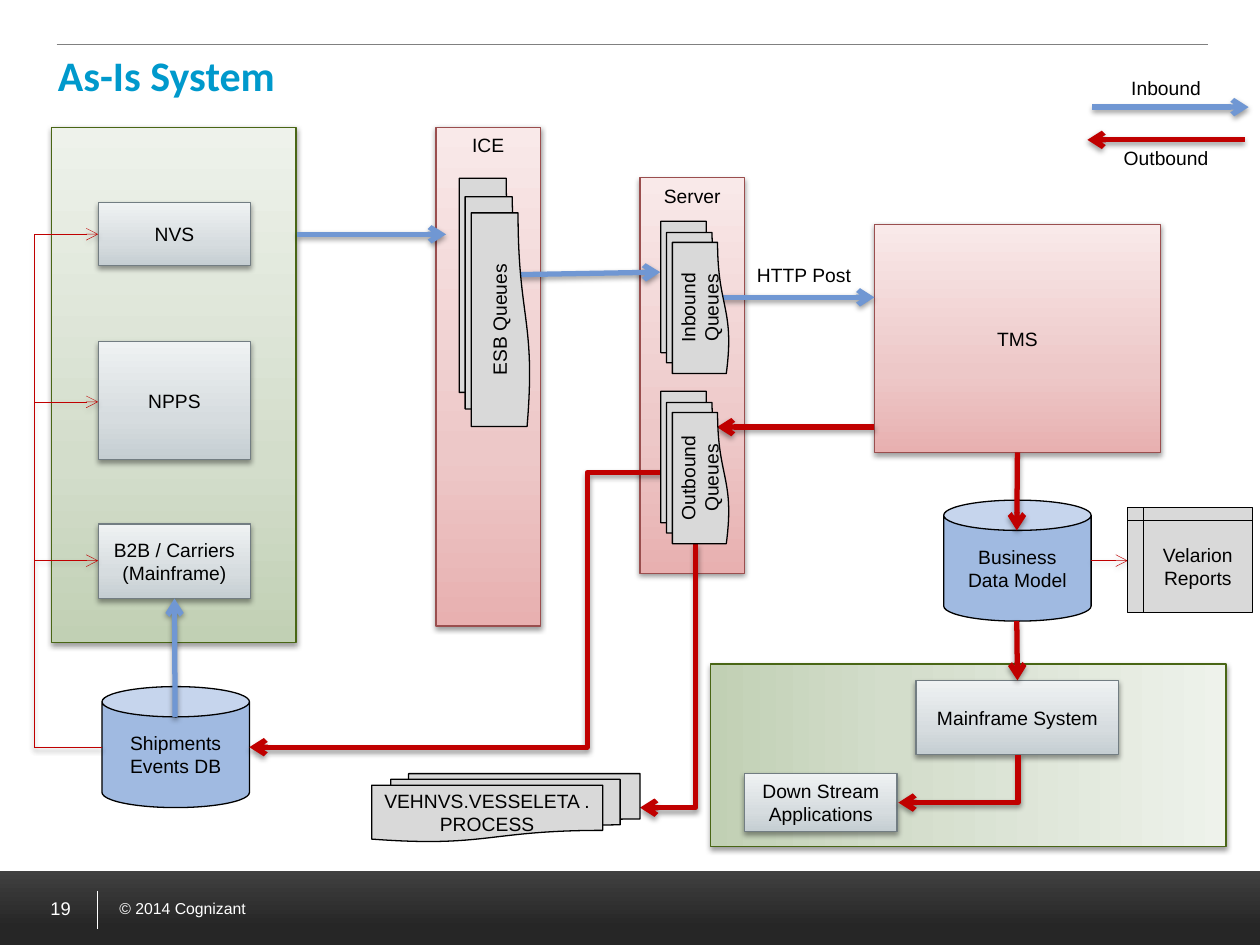
"""Build the As-Is System integration diagram slide."""
from copy import deepcopy
from lxml.etree import SubElement
from pptx import Presentation
from pptx.dml.color import RGBColor
from pptx.enum.shapes import MSO_CONNECTOR, MSO_SHAPE
from pptx.enum.text import MSO_ANCHOR, PP_ALIGN
from pptx.oxml.ns import qn
from pptx.util import Inches, Pt

BLACK = RGBColor(0x00, 0x00, 0x00)
WHITE = RGBColor(0xFF, 0xFF, 0xFF)
RULE_GRAY = RGBColor(0x80, 0x80, 0x80)
TITLE_BLUE = RGBColor(0x00, 0x99, 0xCC)
INBOUND_BLUE = RGBColor(0x70, 0x97, 0xD3)
OUTBOUND_RED = RGBColor(0xC0, 0x00, 0x00)
DATABASE_BLUE = RGBColor(0xA0, 0xBA, 0xE1)
DOCUMENT_GRAY = RGBColor(0xD9, 0xD9, 0xD9)
GREEN_LINE = RGBColor(0x49, 0x66, 0x15)
STEEL_LINE = RGBColor(0x72, 0x7D, 0x82)
ROSE_LINE = RGBColor(0x9A, 0x4E, 0x4E)
GREEN = ((0, RGBColor(0xC1, 0xD0, 0xB4)), (0.35, RGBColor(0xD3, 0xDD, 0xCB)),
         (1, RGBColor(0xEE, 0xF2, 0xEB)))
STEEL = ((0, RGBColor(0xC5, 0xCE, 0xD2)), (0.35, RGBColor(0xD6, 0xDC, 0xDF)),
         (1, RGBColor(0xEF, 0xF2, 0xF3)))
ROSE = ((0, RGBColor(0xE8, 0xB0, 0xB0)), (0.35, RGBColor(0xED, 0xC8, 0xC8)),
        (1, RGBColor(0xF9, 0xE9, 0xE9)))
FOOTER = ((0.24, RGBColor(0x26, 0x26, 0x26)), (1, RGBColor(0x40, 0x40, 0x40)))

deck = Presentation()
deck.slide_width, deck.slide_height = Inches(10), Inches(7.5)
slide = deck.slides.add_slide(deck.slide_layouts[5])
shapes = slide.shapes
shadowed = []


def add_box(label, at, fill, line, kind=MSO_SHAPE.RECTANGLE, anchor=MSO_ANCHOR.MIDDLE, turn=0):
    box = shapes.add_shape(kind, *map(Inches, at))
    box.rotation = turn
    box.shadow.inherit = False
    if isinstance(fill, tuple) and not isinstance(fill, RGBColor):
        box.fill.gradient()
        box.fill.gradient_angle = 90
        stop_list = box._element.spPr.find(".//" + qn("a:gsLst"))
        if len(fill) == 3:
            stop_list.insert(1, deepcopy(stop_list[0]))
        for stop, (position, color) in zip(box.fill.gradient_stops, fill):
            stop.color.rgb = color
            stop.position = position
    else:
        box.fill.solid()
        box.fill.fore_color.rgb = fill
    if line is None:
        box.line.fill.background()
    else:
        box.line.color.rgb = line
        box.line.width = Pt(0.75)
    if label:
        box.text_frame.vertical_anchor = anchor
        paragraph = box.text_frame.paragraphs[0]
        paragraph.alignment = PP_ALIGN.CENTER
        run = paragraph.add_run()
        run.text = label
        run.font.name, run.font.size = "Arial", Pt(11)
        run.font.color.rgb = BLACK
    return box


def add_line(start, end, color, width, tip=None, kind=MSO_CONNECTOR.STRAIGHT):
    line = shapes.add_connector(kind, *map(Inches, start + end))
    line.line.color.rgb = color
    line.line.width = Pt(width)
    if tip:
        SubElement(line.line._get_or_add_ln(), qn(tip), type="arrow")
        shadowed.append(line)
    SubElement(line._element.spPr, qn("a:effectLst"))
    return line


add_box("", (0, 6.91, 10, 0.59), FOOTER, None)
add_line((0.77, 7.07), (0.77, 7.37), WHITE, 0.5)
add_line((0.45, 0.35), (9.59, 0.35), RULE_GRAY, 0.5)

title = shapes.title
title.left, title.top, title.width, title.height = map(Inches, (0.36, 0.34, 9.25, 0.66))
title.text_frame.vertical_anchor = MSO_ANCHOR.TOP
heading = title.text_frame.paragraphs[0]
heading.alignment = PP_ALIGN.LEFT
heading_run = heading.add_run()
heading_run.text = "As-Is System"
heading_run.font.name, heading_run.font.size = "Calibri", Pt(24)
heading_run.font.bold = True
heading_run.font.color.rgb = TITLE_BLUE

systems = {}
for label, at, fill, line, anchor, turn in (
    ("", (0.41, 1.01, 1.94, 4.09), GREEN, GREEN_LINE, MSO_ANCHOR.MIDDLE, 0),
    ("", (6.96, 3.95, 1.45, 4.09), GREEN, GREEN_LINE, MSO_ANCHOR.MIDDLE, 90),
    ("NVS", (0.78, 1.61, 1.21, 0.5), STEEL, STEEL_LINE, MSO_ANCHOR.MIDDLE, 0),
    ("NPPS", (0.78, 2.71, 1.21, 0.94), STEEL, STEEL_LINE, MSO_ANCHOR.MIDDLE, 0),
    ("B2B / Carriers (Mainframe)", (0.78, 4.16, 1.21, 0.59), STEEL, STEEL_LINE, MSO_ANCHOR.MIDDLE, 0),
    ("ICE", (3.46, 1.01, 0.83, 3.96), ROSE, ROSE_LINE, MSO_ANCHOR.TOP, 0),
    ("Server", (5.08, 1.41, 0.83, 3.14), ROSE, ROSE_LINE, MSO_ANCHOR.TOP, 0),
    ("TMS", (6.94, 1.78, 2.27, 1.81), ROSE, ROSE_LINE, MSO_ANCHOR.MIDDLE, 0),
    ("Mainframe System", (7.27, 5.4, 1.61, 0.59), STEEL, STEEL_LINE, MSO_ANCHOR.MIDDLE, 0),
    ("Down Stream Applications", (5.91, 6.14, 1.21, 0.46), STEEL, STEEL_LINE, MSO_ANCHOR.MIDDLE, 0),
):
    systems[label] = add_box(label, at, fill, line, anchor=anchor, turn=turn)
    shadowed.append(systems[label])

for label, left, top in (("Shipments Events DB", 0.81, 5.45), ("Business Data Model", 7.49, 3.97)):
    add_box(label, (left, top, 1.17, 0.96), DATABASE_BLUE, BLACK, MSO_SHAPE.CAN)

for start, end, color in (
    ((2.36, 1.86), (3.54, 1.86), INBOUND_BLUE),
    ((4.1, 2.18), (5.24, 2.16), INBOUND_BLUE),
    ((5.69, 2.36), (6.94, 2.36), INBOUND_BLUE),
    ((6.94, 3.39), (5.69, 3.39), OUTBOUND_RED),
    ((8.67, 0.85), (9.91, 0.85), INBOUND_BLUE),
    ((9.88, 1.11), (8.63, 1.11), OUTBOUND_RED),
):
    add_line(start, end, color, 3, "a:tailEnd")

events_to_carriers = add_line((1.39, 5.69), (1.39, 4.75), INBOUND_BLUE, 3, "a:tailEnd")
events_to_carriers.end_connect(systems["B2B / Carriers (Mainframe)"], 2)
tms_to_model = add_line((8.07, 3.59), (8.07, 4.21), OUTBOUND_RED, 3, "a:tailEnd")
tms_to_model.begin_connect(systems["TMS"], 2)
model_to_mainframe = add_line((8.07, 4.93), (8.08, 5.4), OUTBOUND_RED, 3, "a:tailEnd")
model_to_mainframe.end_connect(systems["Mainframe System"], 0)

for start, end, bend, width in (
    ((5.31, 3.75), (1.98, 5.93), 4.66, 3),
    ((0.81, 5.93), (0.78, 1.86), 0.27, 0.25),
    ((0.81, 5.93), (0.78, 3.19), 0.27, 0.25),
    ((0.81, 5.93), (0.78, 4.45), 0.27, 0.25),
    ((8.66, 4.45), (8.95, 4.45), 8.8, 0.25),
):
    elbow = add_line(start, end, OUTBOUND_RED, width, "a:tailEnd", MSO_CONNECTOR.ELBOW)
    share = round((start[0] - bend) / (start[0] - end[0]) * 100000)
    guides = elbow._element.spPr.find(".//" + qn("a:avLst"))
    SubElement(guides, qn("a:gd"), name="adj1", fmla=f"val {share}")

for target, source in (((7.13, 6.37), (8.08, 5.99)), ((5.08, 6.41), (5.52, 4.32))):
    corner = add_line(target, source, OUTBOUND_RED, 3, "a:headEnd", MSO_CONNECTOR.ELBOW)
    corner._element.spPr.find(qn("a:prstGeom")).set("prst", "bentConnector2")

for label, at, turn in (
    ("ESB Queues", (2.94, 2.12, 1.97, 0.56), 270),
    ("Inbound Queues", (4.91, 2.09, 1.21, 0.54), 270),
    ("Outbound Queues", (4.91, 3.44, 1.21, 0.54), 270),
    ("VEHNVS.VESSELETA .PROCESS", (2.95, 6.14, 2.13, 0.54), 0),
):
    add_box(label, at, DOCUMENT_GRAY, BLACK, MSO_SHAPE.FLOWCHART_MULTIDOCUMENT, turn=turn)
add_box("Velarion Reports", (8.95, 4.03, 0.99, 0.83), DOCUMENT_GRAY, BLACK,
        MSO_SHAPE.FLOWCHART_INTERNAL_STORAGE)

for words, at, size, color, align, anchor in (
    ("HTTP Post", (5.91, 2.04, 0.96, 0.29), 11, BLACK, PP_ALIGN.LEFT, MSO_ANCHOR.TOP),
    ("Inbound", (8.88, 0.56, 0.76, 0.29), 11, BLACK, PP_ALIGN.LEFT, MSO_ANCHOR.TOP),
    ("Outbound", (8.82, 1.11, 0.88, 0.29), 11, BLACK, PP_ALIGN.LEFT, MSO_ANCHOR.TOP),
    ("© 2014 Cognizant", (0.85, 7.08, 2.1, 0.25), 9, WHITE, PP_ALIGN.LEFT, MSO_ANCHOR.TOP),
    ("19", (0.18, 6.97, 0.48, 0.47), 10.5, WHITE, PP_ALIGN.RIGHT, MSO_ANCHOR.MIDDLE),
):
    caption = shapes.add_textbox(*map(Inches, at)).text_frame
    caption.word_wrap = color == WHITE
    caption.vertical_anchor = anchor
    caption.paragraphs[0].alignment = align
    run = caption.paragraphs[0].add_run()
    run.text = words
    run.font.name, run.font.size = "Arial", Pt(size)
    run.font.color.rgb = color

for item in shadowed:
    effects = item._element.spPr.find(qn("a:effectLst"))
    shadow = SubElement(effects, qn("a:outerShdw"), blurRad=str(Pt(3.1)), dist=str(Pt(1.6)),
                        dir="5400000", rotWithShape="0")
    tone = SubElement(shadow, qn("a:srgbClr"), val=str(BLACK))
    SubElement(tone, qn("a:alpha"), val="38000")

deck.save("out.pptx")
